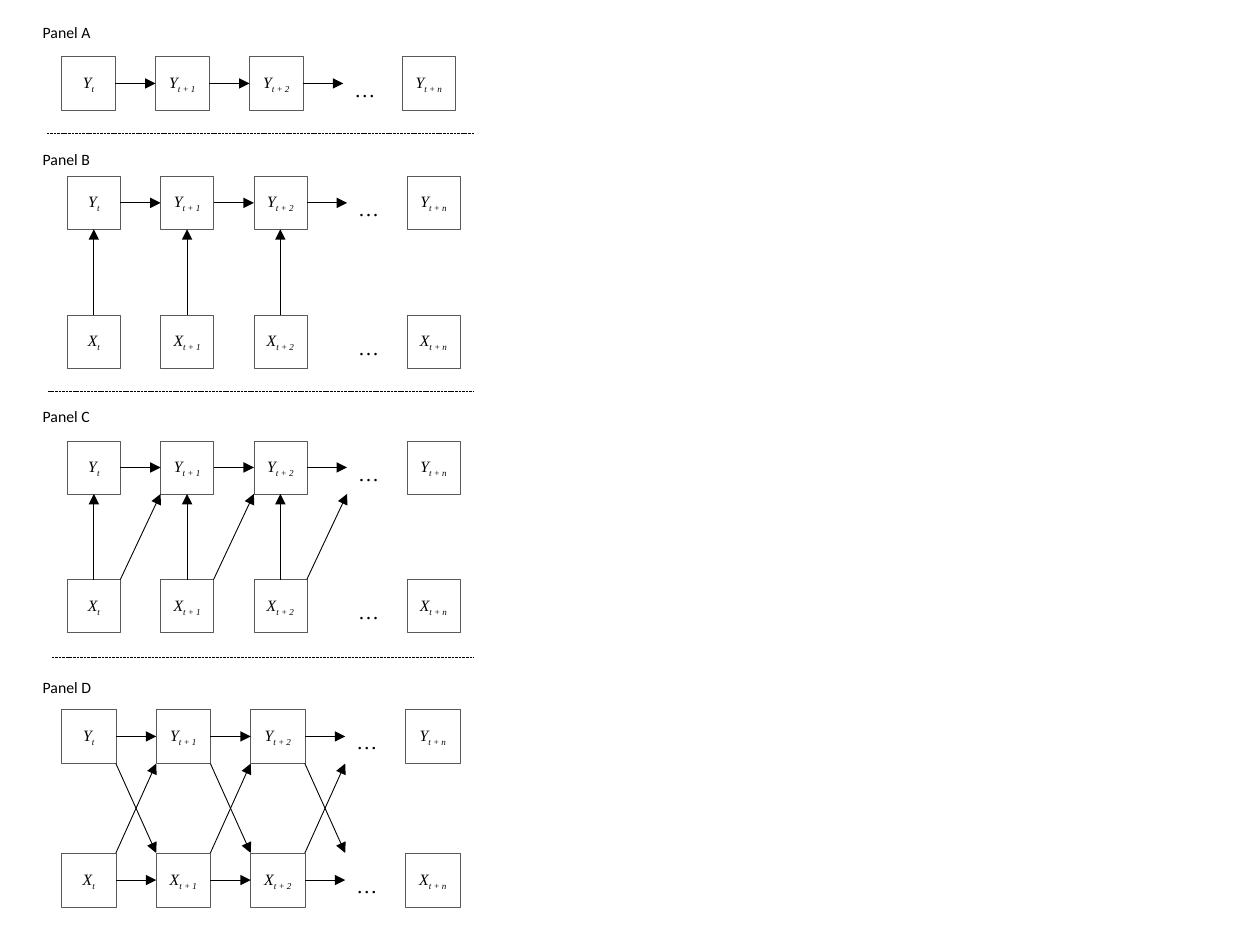
from lxml import etree
from pptx import Presentation
from pptx.dml.color import RGBColor
from pptx.enum.dml import MSO_LINE
from pptx.enum.shapes import MSO_CONNECTOR, MSO_SHAPE
from pptx.enum.text import MSO_ANCHOR, MSO_AUTO_SIZE, PP_ALIGN
from pptx.oxml.ns import qn
from pptx.util import Inches, Pt

STRAIGHT = MSO_CONNECTOR.STRAIGHT
RECT = MSO_SHAPE.RECTANGLE
DASH = MSO_LINE.SQUARE_DOT
MIDDLE = MSO_ANCHOR.MIDDLE
GROW = MSO_AUTO_SIZE.SHAPE_TO_FIT_TEXT
CENTER, LEFT = PP_ALIGN.CENTER, PP_ALIGN.LEFT
rgb = RGBColor.from_string
SERIF = "Times New Roman"

prs = Presentation()
prs.slide_width, prs.slide_height = Inches(10), Inches(7.5)
slide = prs.slides.add_slide(prs.slide_layouts[6])
shapes = slide.shapes


def write(shape, text, subscript="", font=SERIF, size=9, color="000000",
          italic=False, align=LEFT):
    paragraph = shape.text_frame.paragraphs[0]
    paragraph.alignment = align
    for part in filter(None, (text, subscript)):
        run = paragraph.add_run()
        run.text = part
        run.font.name, run.font.size = font, Pt(size)
        run.font.italic = italic
        run.font.color.rgb = rgb(color)
    if subscript:
        run.font._element.set("baseline", "-25000")


def draw_line(x1, y1, x2, y2, dashed=False):
    line = shapes.add_connector(STRAIGHT, Inches(x1), Inches(y1), Inches(x2), Inches(y2))
    line.line.color.rgb = rgb("000000")
    line.line.width = Pt(0.5)
    if dashed:
        line.line.dash_style = DASH
    else:
        etree.SubElement(line.line._get_or_add_ln(), qn("a:tailEnd"), type="triangle")
    etree.SubElement(line._element.spPr, qn("a:effectLst"))


# Panel: name, label top, first box left, box pitch, box size, last box left,
# row tops by variable, kinds of arrows, divider (left, y)
panels = [
    ("Panel A", 0.13, 0.49, 0.745, 0.425, 3.19, {"Y": 0.45}, {"Y"}, (0.37, 1.06)),
    ("Panel B", 1.14, 0.535, 0.74, 0.42, 3.23, {"Y": 1.4, "X": 2.5},
     {"Y", "up"}, (0.38, 3.11)),
    ("Panel C", 3.18, 0.535, 0.74, 0.42, 3.23, {"Y": 3.5, "X": 4.6},
     {"Y", "up", "rising"}, (0.41, 5.22)),
    ("Panel D", 5.33, 0.49, 0.75, 0.43, 3.22, {"Y": 5.63, "X": 6.77},
     {"Y", "X", "rising", "falling"}, None),
]
STEPS = ["t", "t + 1", "t + 2", "t + n"]

for name, label_top, left, pitch, size, last, rows, arrows, divider in panels:
    columns = [left + i * pitch for i in range(3)]
    dots_left = left + 3 * pitch - 0.01

    # Text boxes: panel label and one ellipsis per row
    texts = [(name, 0.24, label_top, 0.59, 0.25, "Calibri", 9)]
    texts += [("…", dots_left, top + 0.105, 0.37, 0.3, SERIF, 12) for top in rows.values()]
    for text, x, y, width, height, font, points in texts:
        box = shapes.add_textbox(Inches(x), Inches(y), Inches(width), Inches(height))
        box.text_frame.word_wrap = False
        box.text_frame.auto_size = GROW
        write(box, text, font=font, size=points)

    # Variable boxes
    for variable, top in rows.items():
        for x, step in zip(columns + [last], STEPS):
            box = shapes.add_shape(RECT, Inches(x), Inches(top), Inches(size), Inches(size))
            box.shadow.inherit = False
            box.fill.solid()
            box.fill.fore_color.rgb = rgb("FFFFFF")
            box.line.color.rgb = rgb("595959")
            box.line.width = Pt(0.25)
            frame = box.text_frame
            frame.vertical_anchor = MIDDLE
            frame.margin_left = frame.margin_right = Inches(0.07)
            frame.margin_top = frame.margin_bottom = Inches(0.04)
            write(box, variable, subscript=step, italic=True, align=CENTER)

    # Arrows from each time step
    y_bottom = rows["Y"] + size
    for x in columns:
        right, following, middle = x + size, x + pitch, x + size / 2
        for variable in rows:
            if variable in arrows:
                y = rows[variable] + size / 2
                draw_line(right, y, following, y)
        if "up" in arrows:
            draw_line(middle, rows["X"], middle, y_bottom)
        if "rising" in arrows:
            draw_line(right, rows["X"], following, y_bottom)
        if "falling" in arrows:
            draw_line(right, y_bottom, following, rows["X"])

    # Dashed divider under the panel
    if divider:
        start, y = divider
        draw_line(start, y, 3.76, y, dashed=True)

prs.save("out.pptx")
